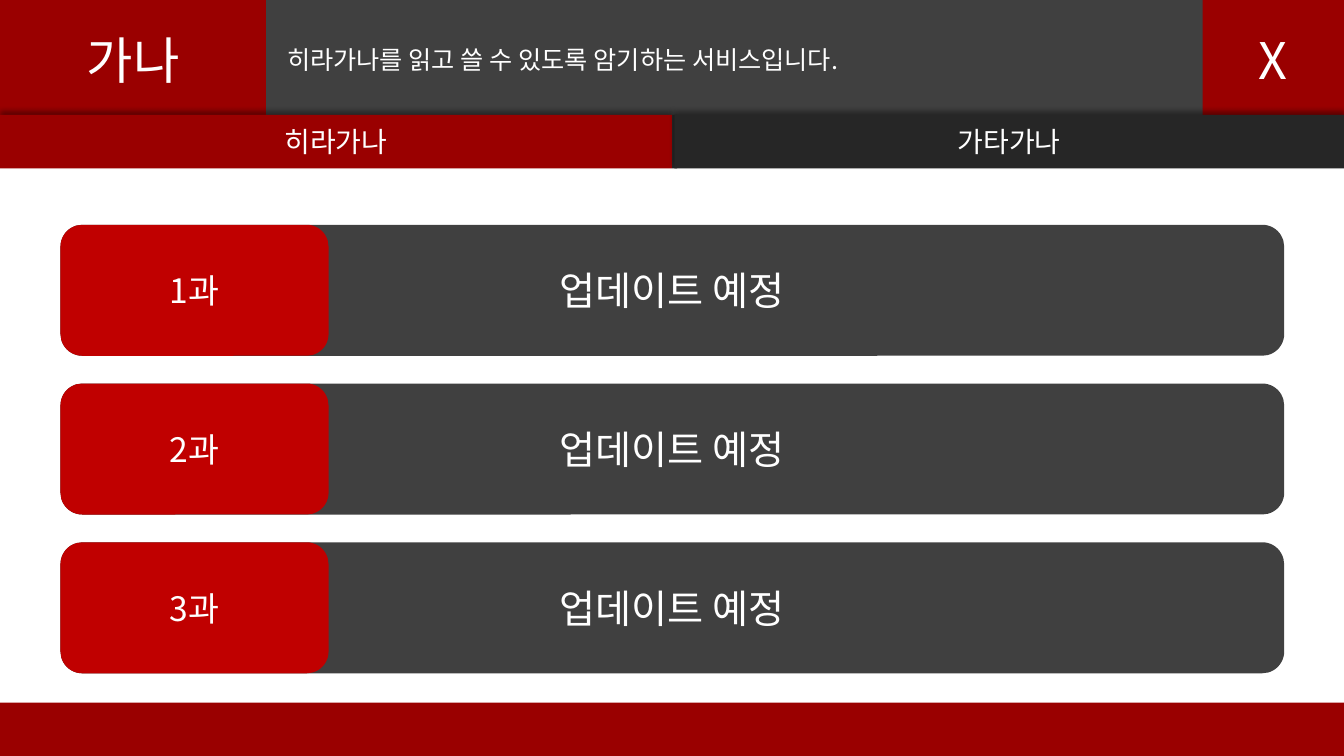
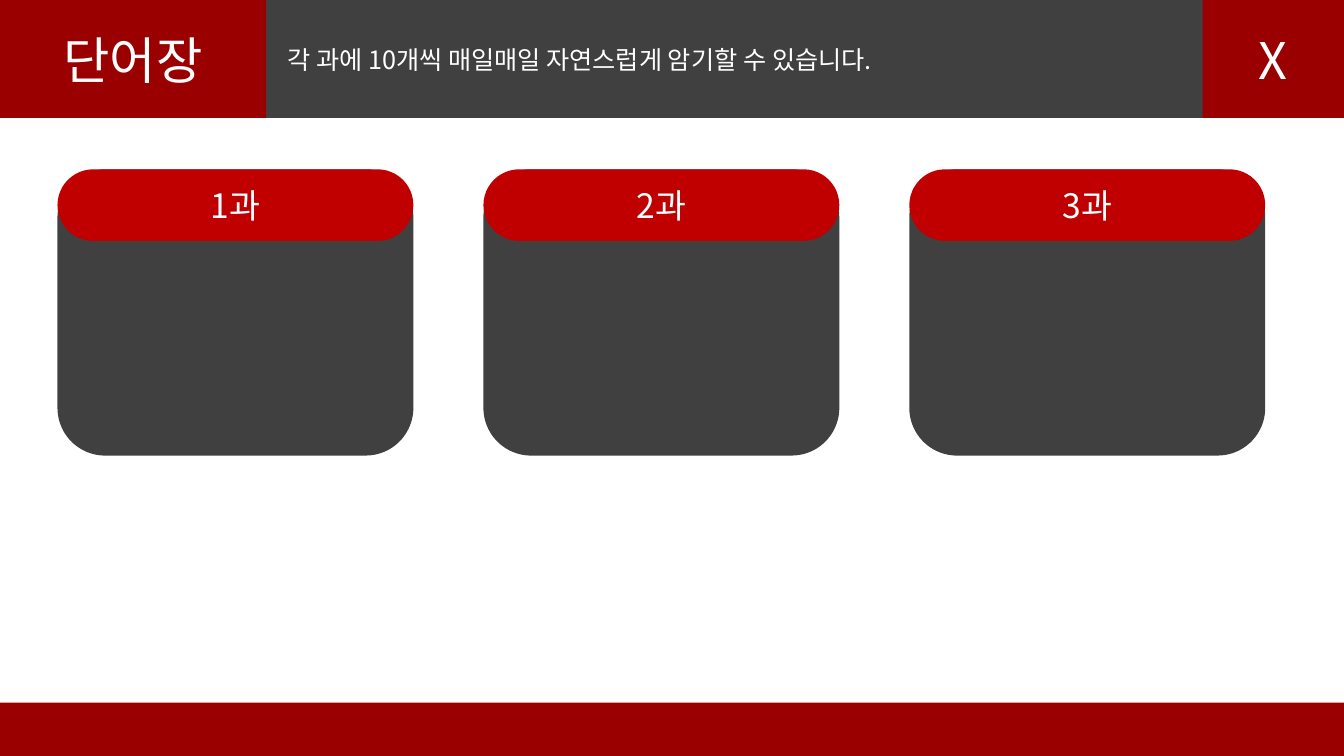
import pptx
import pptx.dml.color
import pptx.enum.shapes
import pptx.enum.text
import pptx.oxml
import pptx.oxml.ns
import pptx.util

WIDE = pptx.util.Inches(13.333)
HIGH = pptx.util.Inches(7.5)
FACE = "Noto Sans CJK KR"
HUES = {"red": "9A0000", "chip": "C00000", "gray": "404040", "dark": "262626", "text": "FFFFFF"}
FORMS = pptx.enum.shapes.MSO_SHAPE
ALIGN = pptx.enum.text.PP_ALIGN
SIZES = {"title": 36, "body": 28, "label": 24, "tab": 20, "note": 18}
HEAD = 15.6
BAND = 7.07
LESSONS = ["1과", "2과", "3과"]


def color(name):
    return pptx.dml.color.RGBColor.from_string(HUES[name])


def box(slide, area, hue, form=FORMS.RECTANGLE):
    left, top, width, height = area
    shape = slide.shapes.add_shape(
        form,
        round(WIDE * left / 100),
        round(HIGH * top / 100),
        round(WIDE * width / 100),
        round(HIGH * height / 100),
    )
    shape.shadow.inherit = False
    shape.fill.solid()
    shape.fill.fore_color.rgb = color(hue)
    shape.line.fill.background()
    return shape


def pill(slide, area, hue):
    return box(slide, area, hue, FORMS.ROUNDED_RECTANGLE)


def write(shape, text, style, align=ALIGN.CENTER):
    frame = shape.text_frame
    frame.word_wrap = True
    frame.vertical_anchor = pptx.enum.text.MSO_ANCHOR.MIDDLE
    line = frame.paragraphs[0]
    line.alignment = align
    run = line.add_run()
    run.text = text
    run.font.color.rgb = color("text")
    looks = {"name": FACE, "size": pptx.util.Pt(SIZES[style])}
    for key, value in looks.items():
        setattr(run.font, key, value)
    east = pptx.oxml.parse_xml(f'<a:ea {pptx.oxml.ns.nsdecls("a")} typeface="{FACE}"/>')
    run.font._element.append(east)


def shade(shape):
    blur, gap = pptx.util.Pt(4), pptx.util.Pt(3)
    glow = pptx.oxml.parse_xml(
        f'<a:outerShdw {pptx.oxml.ns.nsdecls("a")} blurRad="{blur}" dist="{gap}" '
        'dir="16200000" algn="b" rotWithShape="0">'
        '<a:srgbClr val="000000"><a:alpha val="40000"/></a:srgbClr></a:outerShdw>'
    )
    shape.element.spPr.find(pptx.oxml.ns.qn("a:effectLst")).append(glow)


def base(deck, title, note):
    slide = deck.slides.add_slide(deck.slide_layouts[6])
    write(box(slide, (0, 0, 19.8, HEAD), "red"), title, "title")
    bar = box(slide, (19.8, 0, 80.2, HEAD), "gray")
    bar.text_frame.margin_left = pptx.util.Inches(0.21)
    write(bar, note, "note", ALIGN.LEFT)
    box(slide, (0, 100 - BAND, 100, BAND), "red")
    write(box(slide, (89.48, 0, 10.52, HEAD), "red"), "X", "title")
    return slide


def tab(slide, left, width, hue, text):
    shape = box(slide, (left, 15.2, width, BAND), hue)
    shade(shape)
    write(shape, text, "tab")


def row(slide, index, label):
    top = 29.73 + 21 * index
    write(pill(slide, (4.5, top, 91.05, 17.33), "gray"), "업데이트 예정", "body")
    write(pill(slide, (4.5, top, 19.95, 17.33), "chip"), label, "label")


def card(slide, index, label):
    left = 4.28 + 31.69 * index
    pill(slide, (left, 22.4, 26.48, 37.87), "gray")
    cap = pill(slide, (left, 22.4, 26.48, 9.47), "chip")
    cap.adjustments[0] = 0.5
    write(cap, label, "label")


def main():
    deck = pptx.Presentation()
    deck.slide_width = WIDE
    deck.slide_height = HIGH

    kana = base(deck, "가나", "히라가나를 읽고 쓸 수 있도록 암기하는 서비스입니다.")
    tab(kana, 0, 50, "red", "히라가나")
    box(kana, (50, 15.2, 0.38, BAND), "dark")
    tab(kana, 50.18, 49.82, "dark", "가타가나")

    words = base(deck, "단어장", "각 과에 10개씩 매일매일 자연스럽게 암기할 수 있습니다.")
    for index, label in enumerate(LESSONS):
        row(kana, index, label)
        card(words, index, label)

    deck.save("out.pptx")


if __name__ == "__main__":
    main()
